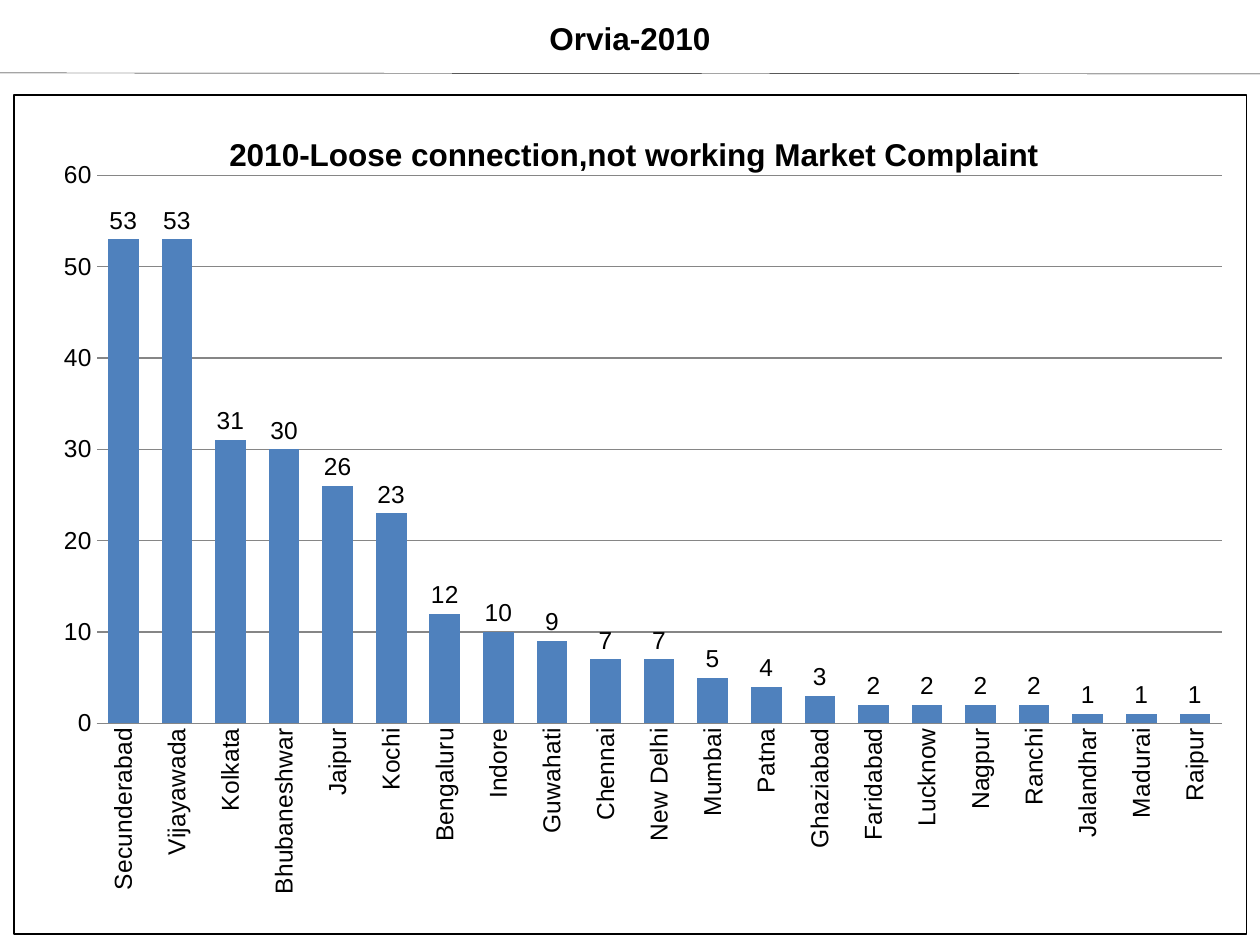
import pptx
import pptx.util
import pptx.chart.data
import pptx.dml.color
import pptx.enum.chart
import pptx.enum.shapes
import pptx.enum.text
import pptx.oxml
import pptx.oxml.ns
from pptx.util import Cm, Pt

RGBColor = pptx.dml.color.RGBColor
qn = pptx.oxml.ns.qn

# Content
HEADING = "Orvia-2010"
CHART_TITLE = "2010-Loose connection,not working Market Complaint"
COMPLAINTS = [
    ("Secunderabad", 53), ("Vijayawada", 53), ("Kolkata", 31),
    ("Bhubaneshwar", 30), ("Jaipur", 26), ("Kochi", 23),
    ("Bengaluru", 12), ("Indore", 10), ("Guwahati", 9),
    ("Chennai", 7), ("New Delhi", 7), ("Mumbai", 5),
    ("Patna", 4), ("Ghaziabad", 3), ("Faridabad", 2),
    ("Lucknow", 2), ("Nagpur", 2), ("Ranchi", 2),
    ("Jalandhar", 1), ("Madurai", 1), ("Raipur", 1),
]

FONT = "Arial"
BLACK = RGBColor(0x00, 0x00, 0x00)
WHITE = RGBColor(0xFF, 0xFF, 0xFF)
BLUE = RGBColor(0x4F, 0x81, 0xBD)
GRAY = RGBColor(0x86, 0x86, 0x86)
NS = ('xmlns:c="http://schemas.openxmlformats.org/drawingml/2006/chart" '
      'xmlns:a="http://schemas.openxmlformats.org/drawingml/2006/main"')


def style_font(font, size, bold=False):
    font.name, font.size, font.bold = FONT, Pt(size), bold
    font.color.rgb = BLACK


def place(parent, index, **parts):
    """Give a chart part a manual layout, in fractions of the chart."""
    old = parent.find(qn("c:layout"))
    if old is not None:
        parent.remove(old)
    items = "".join(f'<c:{k} val="{v}"/>' for k, v in parts.items())
    parent.insert(index, pptx.oxml.parse_xml(
        f"<c:layout {NS}><c:manualLayout>{items}</c:manualLayout></c:layout>"))


def add_heading(s):
    sp = s.shapes.title
    sp.left, sp.top, sp.width, sp.height = Cm(10.67), Cm(0.25), Cm(4.06), Cm(1.02)
    tf = sp.text_frame
    tf.word_wrap = False
    tf.auto_size = pptx.enum.text.MSO_AUTO_SIZE.NONE
    tf.vertical_anchor = pptx.enum.text.MSO_ANCHOR.MIDDLE
    p = tf.paragraphs[0]
    p.alignment = pptx.enum.text.PP_ALIGN.CENTER
    r = p.add_run()
    r.text = HEADING
    style_font(r.font, 18, bold=True)


def add_rule(s, width):
    line = s.shapes.add_connector(
        pptx.enum.shapes.MSO_CONNECTOR.STRAIGHT, 0, Cm(1.47), width, Cm(1.49))
    line.line.color.rgb = BLACK
    line.line.width = Pt(0.25)
    line._element.spPr.append(pptx.oxml.parse_xml(f"<a:effectLst {NS}/>"))


def add_complaint_chart(s):
    data = pptx.chart.data.CategoryChartData()
    data.categories = [city for city, _ in COMPLAINTS]
    data.add_series("Series 1", [count for _, count in COMPLAINTS])
    chart = s.shapes.add_chart(
        pptx.enum.chart.XL_CHART_TYPE.COLUMN_CLUSTERED,
        Cm(0.27), Cm(1.9), Cm(24.87), Cm(16.94), data).chart
    style_font(chart.font, 14)
    chart.has_legend = False

    # Chart title
    chart.has_title = True
    r = chart.chart_title.text_frame.paragraphs[0].add_run()
    r.text = CHART_TITLE
    style_font(r.font, 18, bold=True)
    place(chart.chart_title._element, 1, xMode="edge", yMode="edge", x=0.17, y=0.04)

    # Columns and labels
    plot = chart.plots[0]
    plot.vary_by_categories = False
    plot.gap_width, plot.overlap = 75, -25
    fill = plot.series[0].format.fill
    fill.solid()
    fill.fore_color.rgb = BLUE
    plot.has_data_labels = True
    labels = plot.data_labels
    labels.show_value = True
    labels.position = pptx.enum.chart.XL_LABEL_POSITION.OUTSIDE_END
    style_font(labels.font, 14)

    # Axes
    value, category = chart.value_axis, chart.category_axis
    for axis in (value, category):
        axis.major_tick_mark = pptx.enum.chart.XL_TICK_MARK.NONE
        axis.minor_tick_mark = pptx.enum.chart.XL_TICK_MARK.NONE
        style_font(axis.tick_labels.font, 14)
    value.minimum_scale, value.maximum_scale, value.major_unit = 0, 60, 10
    value.format.line.fill.background()
    value.has_major_gridlines = True
    for line in (value.major_gridlines.format.line, category.format.line):
        line.color.rgb = GRAY
        line.width = Pt(0.75)
    category._element.find(qn("c:txPr")).find(qn("a:bodyPr")).set("rot", "-5400000")

    # Plot area and frame
    space = chart._chartSpace
    place(space.chart.plotArea, 0, layoutTarget="inner", xMode="edge", yMode="edge",
          x=0.067, y=0.096, w=0.913, h=0.653)
    space.find(qn("c:txPr")).addprevious(pptx.oxml.parse_xml(
        f'<c:spPr {NS}><a:solidFill><a:srgbClr val="{WHITE}"/></a:solidFill>'
        f'<a:ln w="{Pt(0.75)}"><a:solidFill><a:srgbClr val="{BLACK}"/></a:solidFill>'
        "</a:ln></c:spPr>"))


def main():
    prs = pptx.Presentation()
    prs.slide_width, prs.slide_height = Cm(25.4), Cm(19.05)
    s = prs.slides.add_slide(prs.slide_layouts[5])
    add_rule(s, prs.slide_width)
    add_complaint_chart(s)
    add_heading(s)
    prs.save("out.pptx")


if __name__ == "__main__":
    main()
